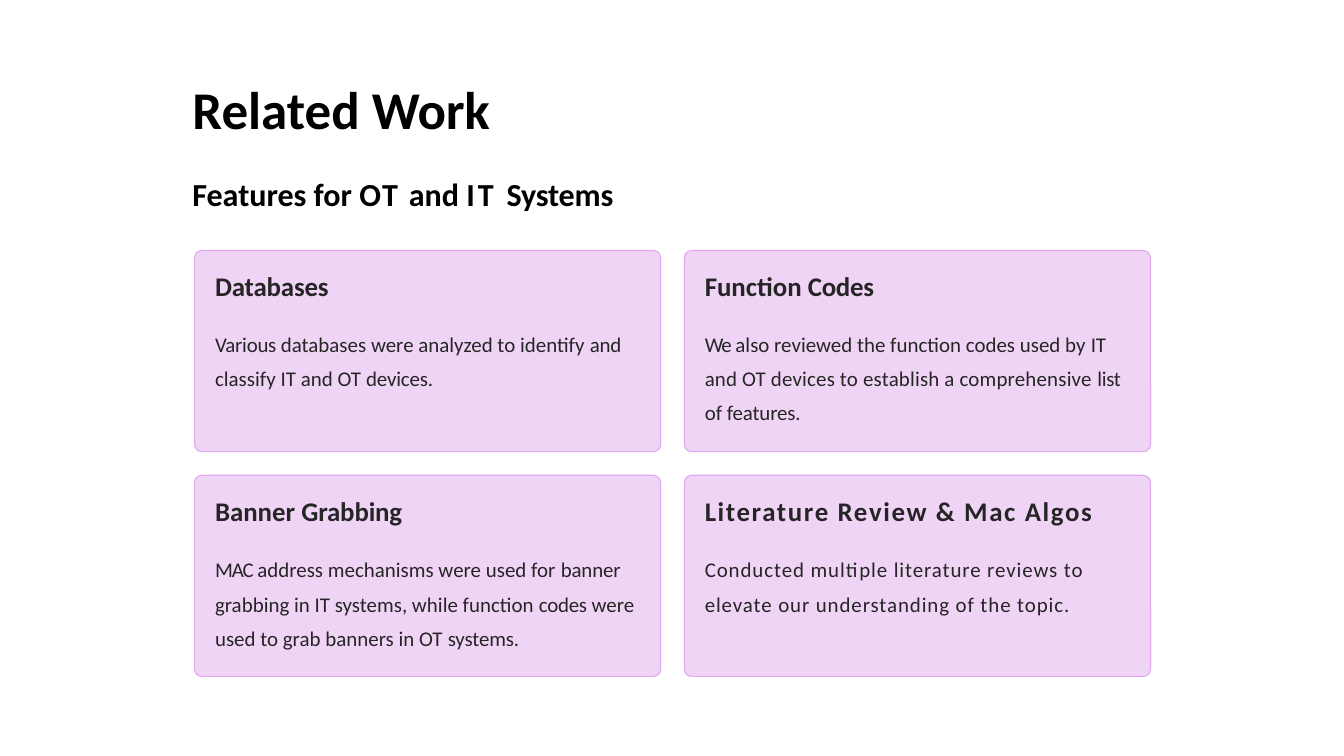
from dataclasses import dataclass

from pptx import Presentation
from pptx.dml.color import RGBColor
from pptx.enum.shapes import MSO_SHAPE
from pptx.enum.text import MSO_ANCHOR, MSO_AUTO_SIZE, PP_ALIGN
from pptx.util import Inches, Pt

ROUNDED = MSO_SHAPE.ROUNDED_RECTANGLE
TOP = MSO_ANCHOR.TOP
LEFT = PP_ALIGN.LEFT
NO_AUTOFIT = MSO_AUTO_SIZE.NONE
TITLE_ONLY = 5


@dataclass(frozen=True)
class Theme:
    font: str = "Calibri"
    heading: RGBColor = RGBColor(0x00, 0x00, 0x00)
    card_text: RGBColor = RGBColor(0x26, 0x25, 0x25)
    card_fill: RGBColor = RGBColor(0xF0, 0xD4, 0xF6)
    card_line: RGBColor = RGBColor(0xE1, 0xA8, 0xEF)
    title_size: float = 35.5
    subtitle_size: float = 21.5
    card_title_size: float = 18
    body_size: float = 14


THEME = Theme()


@dataclass(frozen=True)
class Card:
    title: tuple
    body: tuple
    line_spacing: float
    space_before: float


CARDS = (
    Card(
        (("Databases", -0.1),),
        (("Various ", -0.2), ("databases were analyzed to identify ", 0), ("and ", -0.2),
         ("classify IT and OT ", 0), ("devices.", -0.1)),
        1.34, 14.2),
    Card(
        (("Function ", 0), ("Codes", -0.2)),
        (("We ", -0.8), ("also reviewed the function codes used by ", 0), ("IT ", -0.2),
         ("and OT devices to establish a comprehensive ", 0.1), ("list ", -0.2),
         ("of ", 0), ("features.", -0.1)),
        1.36, 13.8),
    Card(
        (("Banner ", 0), ("Grabbing", -0.1)),
        (("MAC ", -0.8), ("address mechanisms were used for ", 0), ("banner ", -0.1),
         ("grabbing in IT systems, while function ", 0), ("codes ", -0.2),
         ("were used to grab banners in OT ", 0), ("systems.", -0.1)),
        1.38, 13.4),
    Card(
        (("Literature Review & Mac Algos", 1.1),),
        (("Conducted multiple literature reviews to elevate our understanding "
          "of the topic.", 0.6),),
        1.38, 13.4),
)


def add_spans(para, spans, size, color, bold):
    para.alignment = LEFT
    for text, spacing in spans:
        span = para.add_run()
        span.text = text
        span.font.name = THEME.font
        span.font.size = Pt(size)
        span.font.bold = bold
        span.font.color.rgb = color
        if spacing:
            span._r.get_or_add_rPr().set("spc", str(round(spacing * 100)))


def prepare_frame(frame, left=0.01, top=0.02):
    frame.word_wrap = True
    frame.auto_size = NO_AUTOFIT
    frame.vertical_anchor = TOP
    frame.margin_left, frame.margin_top = Inches(left), Inches(top)
    frame.margin_right = frame.margin_bottom = 0


def add_text_box(page, left, top, width, height):
    box = page.shapes.add_textbox(Inches(left), Inches(top), Inches(width), Inches(height))
    prepare_frame(box.text_frame)
    return box.text_frame


def place_title(page, left, top, width, height):
    title = page.shapes.title
    title.left, title.top = Inches(left), Inches(top)
    title.width, title.height = Inches(width), Inches(height)
    prepare_frame(title.text_frame, left=0.14, top=0.25)
    add_spans(title.text_frame.paragraphs[0], (("Related ", 0), ("Work", -0.2)),
              THEME.title_size, THEME.heading, True)


def add_subtitle(page, left, top, width, height):
    frame = add_text_box(page, left, top, width, height)
    spans = (("Features for ", 0), ("OT ", 1.2), ("and ", 0), ("IT ", 1.9), ("Systems", -0.1))
    add_spans(frame.paragraphs[0], spans, THEME.subtitle_size, THEME.heading, True)


def add_card(page, card, left, top, width, height):
    panel = page.shapes.add_shape(ROUNDED, Inches(left), Inches(top),
                                  Inches(width), Inches(height))
    panel.adjustments[0] = 0.035
    panel.shadow.inherit = False
    panel.fill.solid()
    panel.fill.fore_color.rgb = THEME.card_fill
    panel.line.color.rgb = THEME.card_line
    panel.line.width = Pt(0.75)

    frame = add_text_box(page, left + 0.18, top + 0.16, width - 0.4, height - 0.4)
    add_spans(frame.paragraphs[0], card.title, THEME.card_title_size, THEME.card_text, True)
    para = frame.add_paragraph()
    para.line_spacing = card.line_spacing
    para.space_before = Pt(card.space_before)
    add_spans(para, card.body, THEME.body_size, THEME.card_text, False)


def add_card_grid(page, left, top, width, height, columns=2, rows=2, gap=0.22):
    card_width = (width - gap * (columns - 1)) / columns
    card_height = (height - gap * (rows - 1)) / rows
    for index, card in enumerate(CARDS):
        row, column = divmod(index, columns)
        add_card(page, card, left + column * (card_width + gap),
                 top + row * (card_height + gap), card_width, card_height)


def main():
    deck = Presentation()
    deck.slide_width, deck.slide_height = Inches(12.5), Inches(7.03)
    page = deck.slides.add_slide(deck.slide_layouts[TITLE_ONLY])
    place_title(page, 1.65, 0.46, 9.19, 1.14)
    add_subtitle(page, 1.78, 1.6, 4, 0.39)
    add_card_grid(page, 1.81, 2.33, 8.89, 3.96)
    deck.save("out.pptx")


if __name__ == "__main__":
    main()
